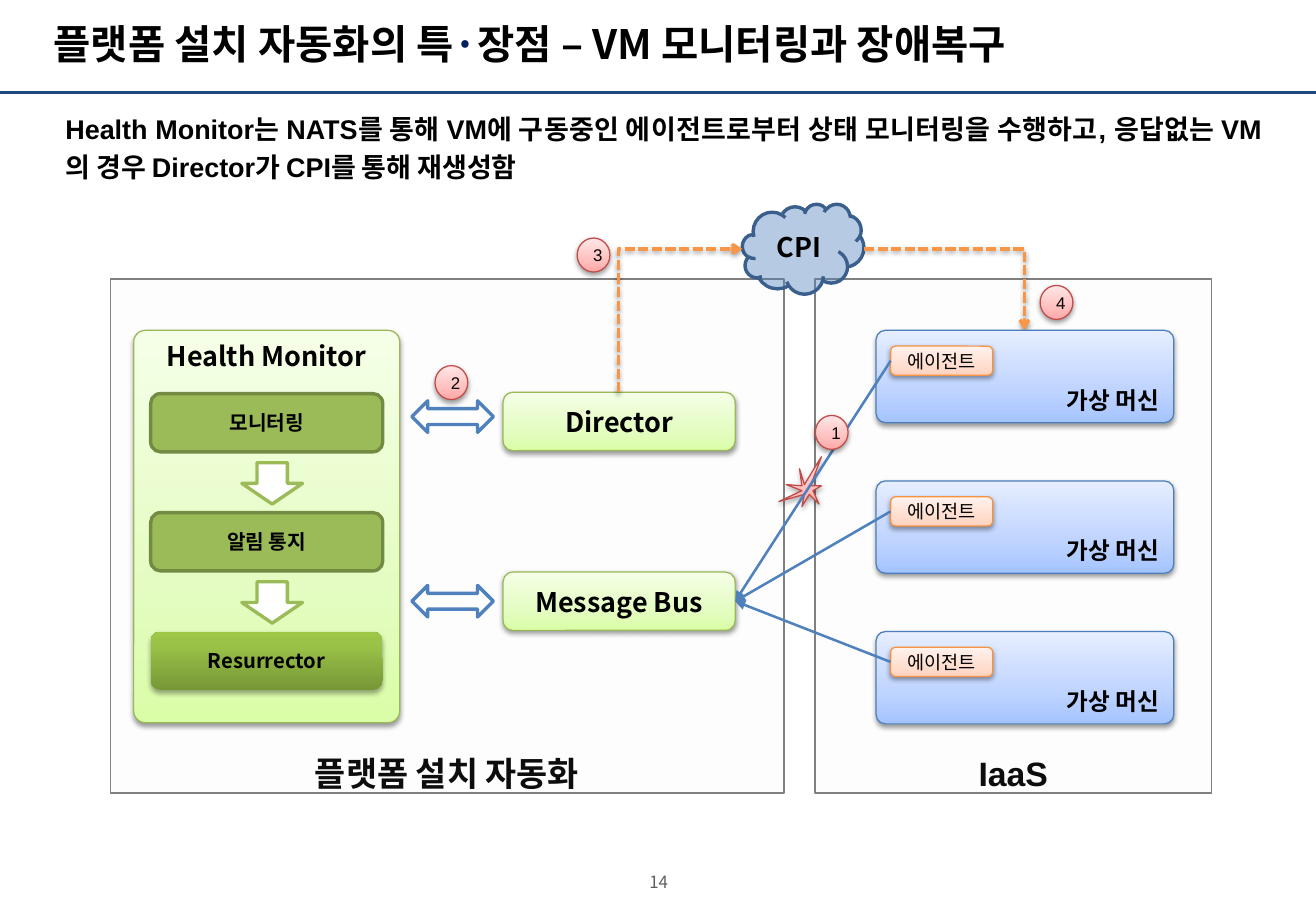
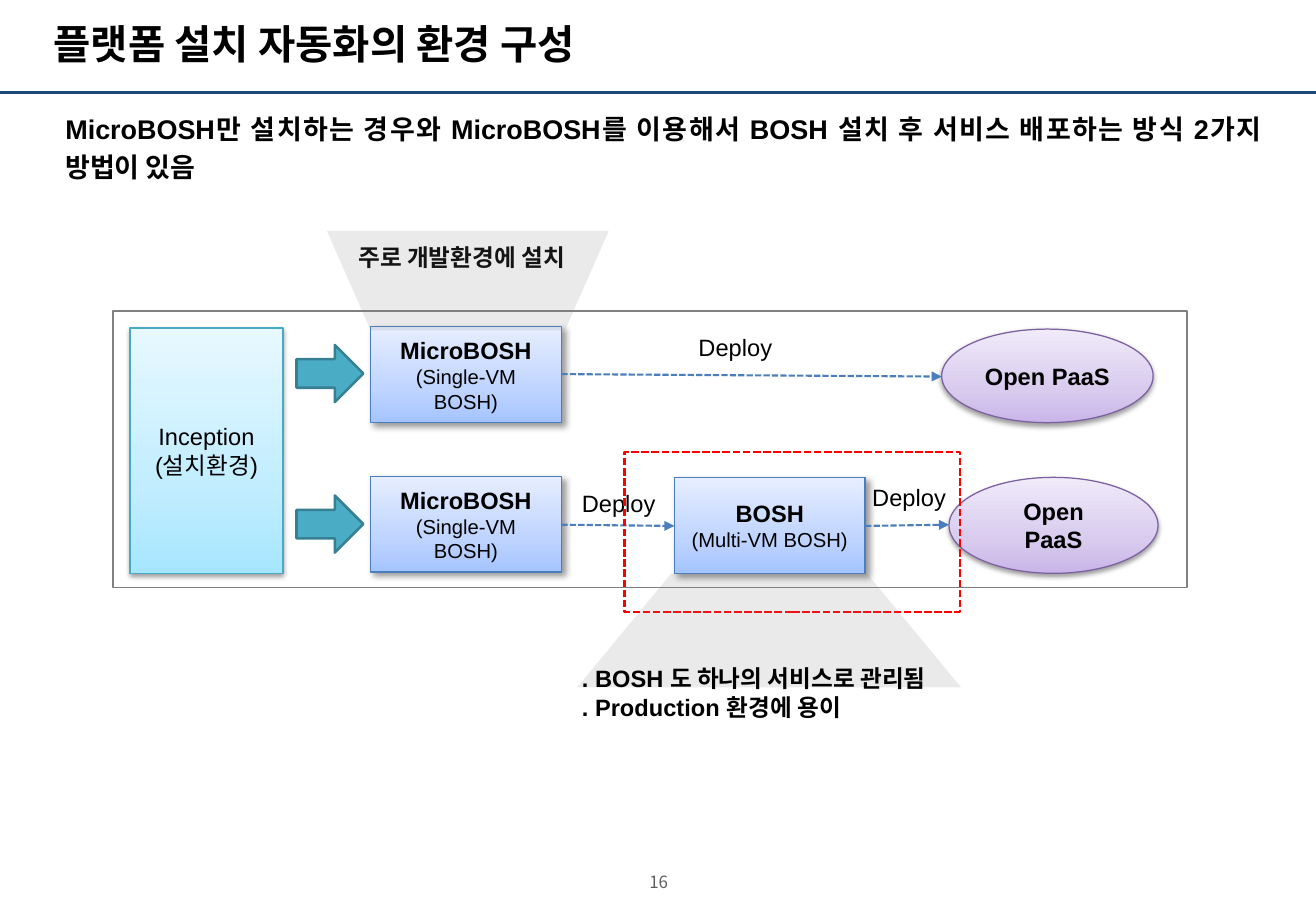
import pptx
import pptx.util
import pptx.dml.color
import pptx.enum.dml
import pptx.enum.shapes
import pptx.enum.text
import pptx.oxml
import pptx.oxml.ns

PX = 9144  # 100 px to the inch
SHAPE = pptx.enum.shapes.MSO_SHAPE
LINK = pptx.enum.shapes.MSO_CONNECTOR
ALIGN = pptx.enum.text.PP_ALIGN
ANCHOR = pptx.enum.text.MSO_ANCHOR
qn = pptx.oxml.ns.qn

# Theme: fonts, type sizes, colours, shape styles
SOFT, PRESSED, CORNER = (38, 3.1, 1.6, 90), (35, 3.1, 1.8, 90), (40, 4, 3, 45)


class Theme:
    latin, korean = "Arial", "Noto Sans CJK KR"
    title, panel, lead, label, step, agent, small = 24, 20, 16, 14, 12, 11, 10
    black, dark, navy, grey, rule = "000000", "0D0D0D", "002060", "5F5F5F", "1F497D"
    styles = {
        "panel": dict(fill="F2F2F2", alpha=10, line=("808080", 1)),
        "frame": dict(line=("808080", 0.75)),
        "focus": dict(line=("FF0000", 1.5, True)),
        "callout": dict(fill="808080", alpha=16),
        "red": dict(fill=((0, "FFA6A5"), (35, "FFC0BF"), (100, "FFE7E7")),
                    line=("BF4C48", 0.75), shadow=SOFT),
        "lime": dict(fill=((0, "DAFDA7"), (35, "E4FCC2"), (100, "F5FFE7")),
                     line=("98B955", 0.75), shadow=SOFT),
        "blue": dict(fill=((0, "A4C4FF"), (35, "BFD4FF"), (100, "E6EEFF")),
                     line=("4B7EBC", 0.75), shadow=SOFT),
        "orange": dict(fill=((0, "FFD2BD"), (35, "FFDED0"), (100, "FFF2ED")),
                       line=("F69240", 0.75), shadow=SOFT),
        "purple": dict(fill=((0, "C9B5E8"), (35, "D8CBEE"), (100, "F0EAF9")),
                       line=("7D60A0", 0.75), shadow=SOFT),
        "sky": dict(fill=((0, "A7E6FF"), (35, "C1EDFF"), (100, "E7F8FF")),
                    line=("46AAC5", 0.75), shadow=SOFT),
        "green": dict(fill="9BBB59", line=("738A42", 2)),
        "pressed": dict(fill=((0, "779737"), (80, "9BC348"), (100, "9DC746")),
                        shadow=PRESSED),
        "flow": dict(fill="FFFFFF", line=("9BBB59", 2)),
        "exchange": dict(fill="FFFFFF", line=("4F81BD", 2)),
        "cloud": dict(fill="4F81BD", alpha=41, line=("3A5F8C", 2)),
        "teal": dict(fill="4BACC6", line=("377F92", 1.5)),
    }
    styles["server"] = dict(styles["blue"], shadow=CORNER)
    message, recreate, deploy = ("4F81BD", 1.5), ("F79646", 2, True), ("4B7EBC", 1.25, True)


# Content
MONITORING = dict(
    number="14",
    title=[("플랫폼 설치 자동화의 특", {}), ("·", dict(color=Theme.navy)),
           ("장점 – VM 모니터링과 장애복구", {})],
    lead="Health Monitor는 NATS를 통해 VM에 구동중인 에이전트로부터 상태 모니터링을 수행하고, "
         "응답없는 VM의 경우 Director가 CPI를 통해 재생성함",
    panels=[("플랫폼 설치 자동화", 91, 554), ("IaaS", 671, 326)],
    steps=[("모니터링", "green"), ("알림 통지", "green"), ("Resurrector", "pressed")],
    services=[("Director", 323, 330), ("Message Bus", 471, 482)],
    badges=[("2", 358, 301), ("3", 475, 196), ("4", 856, 235)],
    last_badge=("1", 671, 342),
    machine="가상 머신", agent="에이전트", machine_count=3,
    burst=[(662, 399), (676, 376), (667, 400), (676, 400), (669, 404), (674, 415),
           (666, 407), (660, 417), (662, 407), (641, 413), (660, 404), (647, 399),
           (660, 400), (658, 386)],
)
SINGLE, MULTI = "(Single-VM BOSH)", "(Multi-VM BOSH)"
ENVIRONMENT = dict(
    number="16",
    title=[("플랫폼 설치 자동화의 환경 구성", {})],
    lead="MicroBOSH만 설치하는 경우와 MicroBOSH를 이용해서 BOSH 설치 후 서비스 배포하는 방식 "
         "2가지 방법이 있음",
    servers=[("MicroBOSH", SINGLE, 305, 269), ("MicroBOSH", SINGLE, 305, 392),
             ("BOSH", MULTI, 555, 393)],
    platforms=[(775, 271, 174, 77), (781, 393, 172, 79)],
    deploys=[((462, 308), (775, 310)), ((462, 432), (555, 433)), ((712, 433), (781, 432))],
    deploy_labels=[(469, 398), (708, 393), (565, 269)],
    inception=["Inception", "(설치환경)"],
    arrow_tops=[284, 408],
    notes=[([". BOSH 도 하나의 서비스로 관리됨", ". Production 환경에 용이"], (469, 542, 329, 57)),
           ("주로 개발환경에 설치", (285, 195, 211, 34))],
)


# Helpers
def emu(*lengths):
    return [pptx.util.Emu(round(v * PX)) for v in lengths]


def rgb(value):
    return pptx.dml.color.RGBColor.from_string(value)


def add_xml(parent, tag, **attrs):
    child = parent.makeelement(qn(tag), {k: str(v) for k, v in attrs.items()})
    parent.append(child)
    return child


def write(tf, text, size=Theme.label, font=Theme.latin, color=Theme.black, bold=False,
          align=ALIGN.CENTER, anchor=ANCHOR.MIDDLE, wrap=True, insets=(10, 5, 10, 5),
          spacing=None, indent=0):
    """Text is a string or a list of paragraphs; a paragraph is a string or a list of (text, format)."""
    tf.auto_size = pptx.enum.text.MSO_AUTO_SIZE.NONE
    tf.word_wrap, tf.vertical_anchor = wrap, anchor
    tf.margin_left, tf.margin_top, tf.margin_right, tf.margin_bottom = emu(*insets)
    for i, para in enumerate([text] if isinstance(text, str) else text):
        p = tf.add_paragraph() if i else tf.paragraphs[0]
        p.alignment = align
        if spacing:
            p.line_spacing = spacing
        if indent:
            pPr = p._p.get_or_add_pPr()
            pPr.set("marL", str(indent * PX))
            pPr.set("indent", "0")
        for part, extra in [(para, {})] if isinstance(para, str) else para:
            r = p.add_run()
            r.text = part
            r.font.size = pptx.util.Pt(extra.get("size", size))
            r.font.bold = extra.get("bold", bold)
            r.font.color.rgb = rgb(extra.get("color", color))
            r.font.name = font
            add_xml(r.font._element, "a:ea", typeface=Theme.korean)


def set_line(line, color, width, dashed=False):
    line.color.rgb = rgb(color)
    line.width = pptx.util.Pt(width)
    if dashed:
        line.dash_style = pptx.enum.dml.MSO_LINE.SQUARE_DOT


def add_shadow(effects, alpha, blur, dist, angle):
    shadow = add_xml(effects, "a:outerShdw", blurRad=round(blur * 12700),
                     dist=round(dist * 12700), dir=angle * 60000, algn="ctr", rotWithShape=0)
    add_xml(add_xml(shadow, "a:srgbClr", val="000000"), "a:alpha", val=alpha * 1000)


def paint(sp, fill=None, alpha=None, line=None, shadow=None):
    spPr = sp.element.spPr
    sp.shadow.inherit = False
    if fill is None:
        sp.fill.background()
    elif isinstance(fill, str):
        sp.fill.solid()
        sp.fill.fore_color.rgb = rgb(fill)
        if alpha:
            add_xml(spPr.find(".//" + qn("a:srgbClr")), "a:alpha", val=alpha * 1000)
    else:
        sp.fill.gradient()
        sp.fill.gradient_angle = 90
        stops = spPr.find(".//" + qn("a:gsLst"))
        for stop in list(stops):
            stops.remove(stop)
        for pos, color in fill:
            add_xml(add_xml(stops, "a:gs", pos=pos * 1000), "a:srgbClr", val=color)
    if line:
        set_line(sp.line, *line)
    else:
        sp.line.fill.background()
    if shadow:
        add_shadow(spPr.find(qn("a:effectLst")), *shadow)


def add_box(s, kind, style, box, text=None, adj=None, **fmt):
    sp = s.shapes.add_shape(kind, *emu(*box))
    if adj is not None:
        sp.adjustments[0] = adj
    paint(sp, **Theme.styles[style])
    if text:
        write(sp.text_frame, text, **fmt)
    return sp


def add_label(s, box, text, **fmt):
    write(s.shapes.add_textbox(*emu(*box)).text_frame, text, **fmt)


def add_link(s, start, end, line, head=None, bent=False, turn=0, shadow=None):
    cn = s.shapes.add_connector(LINK.ELBOW if bent else LINK.STRAIGHT, *emu(*start, *end))
    set_line(cn.line, *line)
    spPr = cn.element.spPr
    if bent:
        spPr.find(qn("a:prstGeom")).set("prst", "bentConnector2")
    if turn:
        spPr.find(qn("a:xfrm")).set("rot", str(turn * 60000))
    if head:
        add_xml(spPr.find(qn("a:ln")), "a:tailEnd", type=head)
    effects = add_xml(spPr, "a:effectLst")
    if shadow:
        add_shadow(effects, *shadow)


def add_badge(s, text, x, y):
    add_box(s, SHAPE.OVAL, "red", (x, y, 27, 28), text, size=Theme.small)


def new_slide(prs, content):
    """Title, rule, page number and lead text shared by all slides."""
    s = prs.slides.add_slide(prs.slide_layouts[5])
    title = s.shapes.title
    title.left, title.top, title.width, title.height = emu(34, 0, 835, 71)
    write(title.text_frame, [content["title"]], size=Theme.title, font=Theme.korean,
          bold=True, align=ALIGN.LEFT)
    add_link(s, (0, 76), (1083, 76), (Theme.rule, 1.5))
    add_label(s, (483, 718, 118, 16), content["number"], size=Theme.small,
              font=Theme.korean, color=Theme.grey, insets=(0, 0, 0, 0))
    add_label(s, (34, 82, 1014, 75), content["lead"], size=Theme.lead, bold=True,
              align=ALIGN.JUSTIFY, anchor=ANCHOR.TOP, spacing=1.2, indent=10)
    return s


def monitoring_slide(prs, c):
    s = new_slide(prs, c)
    heading = dict(size=Theme.lead, font=Theme.korean, bold=True)
    for name, x, w in c["panels"]:
        add_box(s, SHAPE.RECTANGLE, "panel", (x, 230, w, 423), name, size=Theme.panel,
                color=Theme.dark, bold=True, anchor=ANCHOR.BOTTOM, insets=(10, 0, 10, 0))
    # Broken connection
    outline = s.shapes.build_freeform(*c["burst"][0], scale=PX)
    outline.add_line_segments(c["burst"][1:], close=True)
    paint(outline.convert_to_shape(), **Theme.styles["red"])
    for badge in c["badges"]:
        add_badge(s, *badge)
    # Health monitor and its steps
    add_box(s, SHAPE.ROUNDED_RECTANGLE, "lime", (110, 272, 219, 323), "Health Monitor",
            adj=0.044, anchor=ANCHOR.TOP, **heading)
    for i, (name, style) in enumerate(c["steps"]):
        y = 324 + 98 * i
        add_box(s, SHAPE.ROUNDED_RECTANGLE, style, (124, y, 191, 48), name,
                size=Theme.step, font=Theme.korean, bold=True)
        if i:
            add_box(s, SHAPE.DOWN_ARROW, "flow", (199, y - 41, 50, 34))
    # Services
    for name, y, arrow_y in c["services"]:
        add_box(s, SHAPE.ROUNDED_RECTANGLE, "lime", (414, y, 191, 48), name, **heading)
        add_box(s, SHAPE.LEFT_RIGHT_ARROW, "exchange", (339, arrow_y, 67, 26))
    # Recreation through the cloud interface
    add_box(s, SHAPE.CLOUD, "cloud", (611, 168, 100, 74), "CPI", **heading)
    bent = dict(line=Theme.recreate, head="arrow", bent=True, shadow=SOFT)
    add_link(s, (619, 315), (501, 213), turn=90, **bent)
    add_link(s, (711, 205), (843, 272), **bent)
    # Virtual machines, then their messages
    tops = [272 + 124 * i for i in range(c["machine_count"])]
    for y in tops:
        add_box(s, SHAPE.ROUNDED_RECTANGLE, "blue", (721, y, 245, 76), c["machine"],
                adj=0.101, bold=True, align=ALIGN.RIGHT, anchor=ANCHOR.BOTTOM)
        add_box(s, SHAPE.ROUNDED_RECTANGLE, "orange", (733, y + 13, 84, 24), c["agent"],
                size=Theme.agent)
    for y in tops:
        add_link(s, (733, y + 25), (605, 495), Theme.message, head="triangle")
    add_badge(s, *c["last_badge"])


def environment_slide(prs, c):
    s = new_slide(prs, c)
    # Servers, platforms and deployments
    for name, kind, x, y in c["servers"]:
        add_box(s, SHAPE.RECTANGLE, "server", (x, y, 157, 79),
                [name, [(kind, dict(size=Theme.step, bold=False))]], bold=True)
    for box in c["platforms"]:
        add_box(s, SHAPE.OVAL, "purple", box, "Open PaaS", bold=True)
    for start, end in c["deploys"]:
        add_link(s, start, end, Theme.deploy, head="triangle")
    # Installation environment
    add_box(s, SHAPE.RECTANGLE, "frame", (93, 256, 884, 228))
    add_box(s, SHAPE.RECTANGLE, "sky", (107, 270, 126, 202), c["inception"])
    for y in c["arrow_tops"]:
        add_box(s, SHAPE.RIGHT_ARROW, "teal", (244, y, 55, 47))
    # Labels and callouts
    plain = dict(align=ALIGN.LEFT, anchor=ANCHOR.TOP, wrap=False)
    for x, y in c["deploy_labels"]:
        add_label(s, (x, y, 83, 34), "Deploy", **plain)
    add_box(s, SHAPE.RECTANGLE, "focus", (514, 372, 276, 132))
    add_box(s, SHAPE.TRAPEZOID, "callout", (475, 472, 316, 94), adj=0.825)
    for text, box in c["notes"]:
        add_label(s, box, text, bold=True, **plain)
    add_box(s, SHAPE.TRAPEZOID, "callout", (269, 190, 232, 82), adj=0.44).rotation = 180


def main():
    prs = pptx.Presentation()
    prs.slide_width, prs.slide_height = emu(1083, 750)
    monitoring_slide(prs, MONITORING)
    environment_slide(prs, ENVIRONMENT)
    prs.save("out.pptx")


if __name__ == "__main__":
    main()
